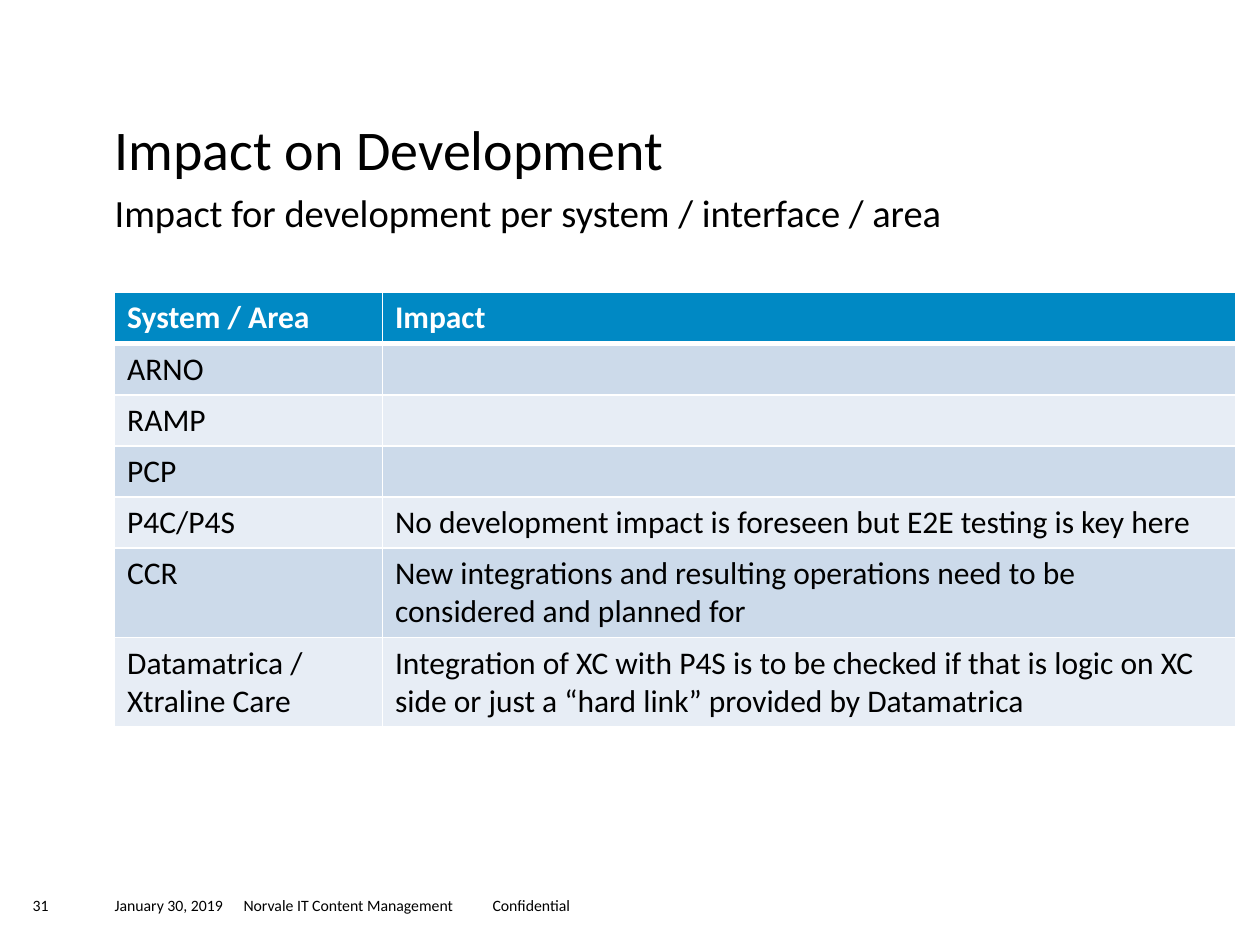
from lxml import etree
from pptx import Presentation
from pptx.dml.color import RGBColor
from pptx.enum.text import MSO_ANCHOR, MSO_AUTO_SIZE, PP_ALIGN
from pptx.oxml.ns import qn
from pptx.util import Cm, Pt

LEFT = PP_ALIGN.LEFT
TOP = MSO_ANCHOR.TOP
NO_AUTOFIT = MSO_AUTO_SIZE.NONE

BLACK = RGBColor(0x00, 0x00, 0x00)
WHITE = RGBColor(0xFF, 0xFF, 0xFF)
HEADER_BLUE = RGBColor(0x00, 0x89, 0xC4)
BANDS = (RGBColor(0xCC, 0xDA, 0xEA), RGBColor(0xE7, 0xED, 0xF5))

FONT = "Calibri"
TITLE_AND_CONTENT = 1
MARGIN = Cm(2.31)
CONTENT_WIDTH = Cm(20.8)

IMPACTS = [
    ("System / Area", "Impact"),
    ("ARNO", ""),
    ("RAMP", ""),
    ("PCP", ""),
    ("P4C/P4S", "No development impact is foreseen but E2E testing is key here"),
    ("CCR", "New integrations and resulting operations need to be "
            "considered and planned for"),
    ("Datamatrica / Xtraline Care",
     "Integration of XC with P4S is to be checked if that is logic on XC "
     "side or just a “hard link” provided by Datamatrica"),
]


def write_text(text_frame, text, size=18, color=BLACK, bold=False):
    paragraph = text_frame.paragraphs[0]
    paragraph.alignment = LEFT
    paragraph.space_before = Pt(0)
    run = paragraph.add_run()
    run.text = text
    run.font.name = FONT
    run.font.size = Pt(size)
    run.font.bold = bold
    run.font.color.rgb = color
    return paragraph


def clear_frame(text_frame):
    """Remove margins and automatic fitting, and anchor at the top."""
    text_frame.margin_left = text_frame.margin_right = 0
    text_frame.margin_top = text_frame.margin_bottom = 0
    text_frame.word_wrap = True
    text_frame.auto_size = NO_AUTOFIT
    text_frame.vertical_anchor = TOP


def fill_placeholder(shape, box, text, size):
    shape.left, shape.top, shape.width, shape.height = box
    clear_frame(shape.text_frame)
    properties = shape.text_frame.paragraphs[0]._p.get_or_add_pPr()
    properties.set("marL", "0")
    properties.set("indent", "0")
    etree.SubElement(properties, qn("a:buNone"))
    write_text(shape.text_frame, text, size=size)


def add_headings(slide, left, top, width):
    title, subtitle = slide.placeholders
    fill_placeholder(title, (left, top, width, Cm(1.42)),
                     "Impact on Development", 32)
    fill_placeholder(subtitle, (left, top + Cm(1.5), width, Cm(1.04)),
                     "Impact for development per system / interface / area", 22)


def add_borders(cell, widths):
    properties = cell._tc.get_or_add_tcPr()
    for side, width in widths.items():
        line = etree.SubElement(properties, qn(f"a:ln{side}"), w=str(Pt(width)))
        fill = etree.SubElement(line, qn("a:solidFill"))
        etree.SubElement(fill, qn("a:srgbClr"), val=str(WHITE))


def add_impact_table(slide, left, top, column_widths, row_height):
    frame = slide.shapes.add_table(len(IMPACTS), len(column_widths), left, top,
                                   sum(column_widths), row_height * len(IMPACTS))
    table = frame.table
    for column, width in zip(table.columns, column_widths):
        column.width = width
    for row_index, texts in enumerate(IMPACTS):
        is_header = row_index == 0
        for column_index, text in enumerate(texts):
            cell = table.cell(row_index, column_index)
            add_borders(cell, {"L": 1, "R": 1,
                               "T": 3 if row_index == 1 else 1,
                               "B": 3 if is_header else 1})
            cell.fill.solid()
            cell.fill.fore_color.rgb = (
                HEADER_BLUE if is_header else BANDS[(row_index - 1) % 2])
            if text:
                write_text(cell.text_frame, text, bold=is_header,
                           color=WHITE if is_header else BLACK)


def add_footer_text(slide, box, text, tab_stops=()):
    text_frame = slide.shapes.add_textbox(*box).text_frame
    clear_frame(text_frame)
    if tab_stops:
        properties = text_frame.paragraphs[0]._p.get_or_add_pPr()
        tabs = etree.SubElement(properties, qn("a:tabLst"))
        for position in tab_stops:
            etree.SubElement(tabs, qn("a:tab"), pos=str(position), algn="l")
    write_text(text_frame, text, size=9)


def add_footer(slide, left, top, height):
    add_footer_text(slide, (left, top, Cm(12.6), height),
                    "January 30, 2019\tNorvale IT Content Management\tConfidential",
                    tab_stops=(Cm(2.6), Cm(7.62)))
    add_footer_text(slide, (Cm(0.66), top, Cm(1.42), height), "31")


def main():
    presentation = Presentation()
    presentation.slide_width = Cm(25.4)
    presentation.slide_height = Cm(19.05)
    layout = presentation.slide_layouts[TITLE_AND_CONTENT]
    slide = presentation.slides.add_slide(layout)
    add_headings(slide, MARGIN, Cm(2.31), CONTENT_WIDTH)
    add_impact_table(slide, MARGIN, Cm(5.9), (Cm(5.4), Cm(17.2)), Cm(1.03))
    add_footer(slide, MARGIN, Cm(18.06), Cm(0.4))
    presentation.save("out.pptx")


if __name__ == "__main__":
    main()
